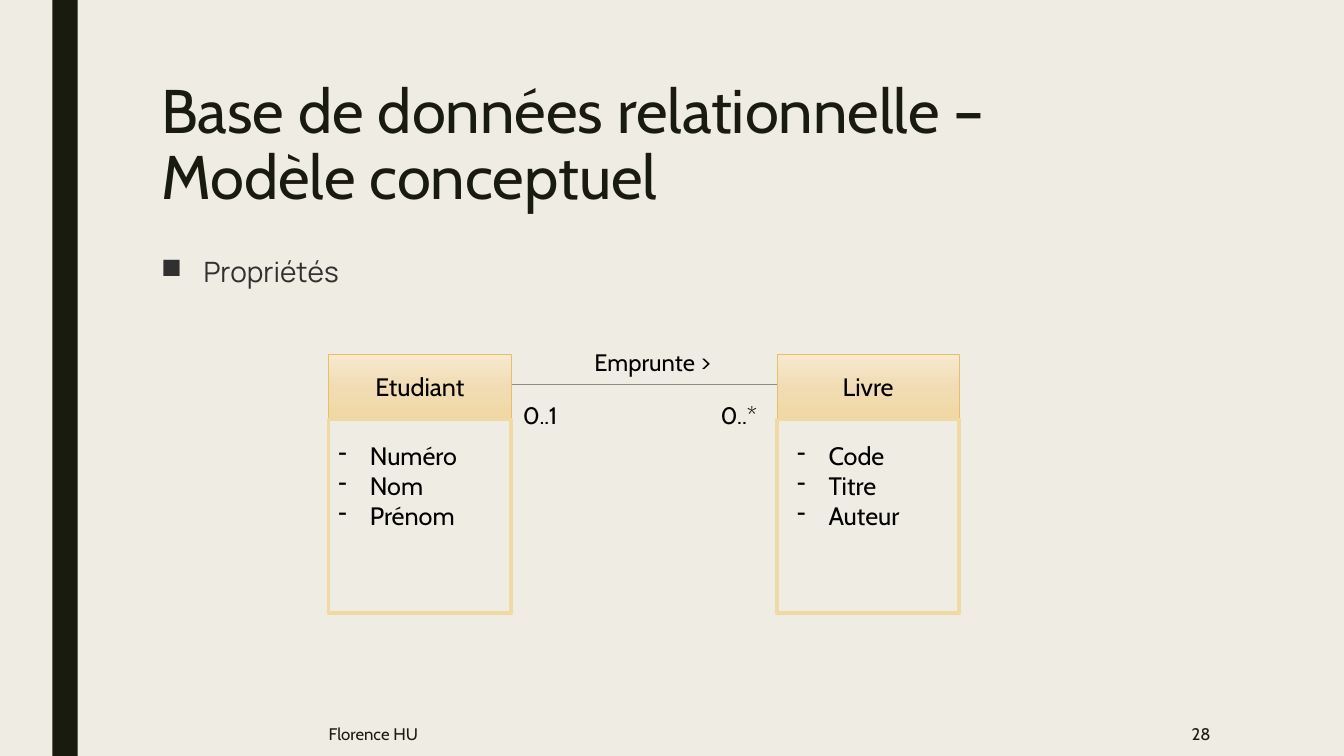
from dataclasses import dataclass

from lxml.etree import SubElement
from pptx import Presentation
from pptx.dml.color import RGBColor
from pptx.enum.shapes import MSO_CONNECTOR, MSO_SHAPE
from pptx.enum.text import MSO_ANCHOR, PP_ALIGN
from pptx.oxml import parse_xml
from pptx.oxml.ns import nsdecls, qn
from pptx.util import Cm, Pt


@dataclass(frozen=True)
class Theme:
    background: str = "EFEDE3"
    dark: str = "191B0E"
    body: str = "303030"
    black: str = "000000"
    link: str = "8C8D86"
    header_line: str = "E6C069"
    frame_line: str = "F0D9A5"
    header_stops: tuple = ((0, "F7E9D0"), (50, "F1DCB4"), (100, "F1D7A3"))
    heading_font: str = "Cabin"
    body_font: str = "Manrope"
    title_size: int = 44
    body_size: int = 20
    entity_size: int = 18
    label_size: int = 17
    footer_size: int = 12


THEME = Theme()
HEADER_TOP, HEADER_HEIGHT, FRAME_HEIGHT = 8.92, 1.65, 4.88
ENTITY_WIDTH = 4.6
STUDENT_LEFT, BOOK_LEFT = 8.28, 19.58


def apply_format(target, values):
    for name, value in values.items():
        setattr(target, name, value)


def style_font(font, size, color=THEME.black, name=THEME.heading_font):
    apply_format(font, {"name": name, "size": Pt(size)})
    font.color.rgb = RGBColor.from_string(color)


def add_bullet(para, symbol, indent):
    properties = para._p.get_or_add_pPr()
    properties.set("marL", str(Cm(indent)))
    properties.set("indent", str(-Cm(indent)))
    SubElement(properties, qn("a:buChar")).set("char", symbol)


def add_text(page, area, lines, size, color=THEME.black, name=THEME.heading_font,
             anchor=MSO_ANCHOR.TOP, bullet=None, indent=0, **para_format):
    box = page.shapes.add_textbox(*map(Cm, area))
    frame = box.text_frame
    apply_format(frame, {"word_wrap": True, "vertical_anchor": anchor})
    for index, line in enumerate(lines):
        para = frame.paragraphs[0] if index == 0 else frame.add_paragraph()
        para.text = line
        apply_format(para, para_format)
        if bullet:
            add_bullet(para, bullet, indent)
        for span in para.runs:
            style_font(span.font, size, color, name)
    return box


def add_rectangle(page, area, line_color=None, line_width=0.5):
    shape = page.shapes.add_shape(MSO_SHAPE.RECTANGLE, *map(Cm, area))
    shape.shadow.inherit = False
    shape.fill.background()
    if line_color:
        shape.line.color.rgb = RGBColor.from_string(line_color)
        shape.line.width = Pt(line_width)
    else:
        shape.line.fill.background()
    return shape


def fill_gradient(shape, stops):
    marks = "".join(
        f'<a:gs pos="{position * 1000}"><a:srgbClr val="{color}"/></a:gs>'
        for position, color in stops
    )
    gradient = parse_xml(
        f'<a:gradFill {nsdecls("a")} rotWithShape="1"><a:gsLst>{marks}</a:gsLst>'
        '<a:lin ang="5400000" scaled="0"/></a:gradFill>'
    )
    properties = shape._element.spPr
    properties.replace(properties.find(qn("a:noFill")), gradient)


def add_header(page, left, name):
    header = add_rectangle(page, (left, HEADER_TOP, ENTITY_WIDTH, HEADER_HEIGHT),
                           THEME.header_line)
    fill_gradient(header, THEME.header_stops)
    header.text_frame.vertical_anchor = MSO_ANCHOR.MIDDLE
    para = header.text_frame.paragraphs[0]
    para.text = name
    para.alignment = PP_ALIGN.CENTER
    style_font(para.runs[0].font, THEME.entity_size)


def add_entity(page, left, name, fields, list_left):
    add_header(page, left, name)
    frame_top = HEADER_TOP + HEADER_HEIGHT
    add_rectangle(page, (left, frame_top, ENTITY_WIDTH, FRAME_HEIGHT),
                  THEME.frame_line, 2.75)
    add_text(page, (list_left, frame_top + 0.4, 4.24, 2.57), fields,
             THEME.entity_size, bullet="-", indent=0.79)


def add_link(page, start, end, top):
    link = page.shapes.add_connector(MSO_CONNECTOR.STRAIGHT,
                                     Cm(start), Cm(top), Cm(end), Cm(top))
    link.line.color.rgb = RGBColor.from_string(THEME.link)
    link.line.width = Pt(0.5)
    SubElement(link._element.spPr, qn("a:effectLst"))


def add_relation(page):
    add_link(page, STUDENT_LEFT + ENTITY_WIDTH, BOOK_LEFT, 9.68)
    for left, cardinality in ((12.93, "0..1"), (17.91, "0..*")):
        add_text(page, (left, 9.98, 1.78, 0.99), [cardinality], THEME.label_size)
    label = add_text(page, (14.73, 8.61, 4.04, 1.02), ["Emprunte"], THEME.label_size)
    arrow = label.text_frame.paragraphs[0].add_run()
    arrow.text = " >"
    style_font(arrow.font, THEME.entity_size)


def main():
    deck = Presentation()
    apply_format(deck, {"slide_width": Cm(33.87), "slide_height": Cm(19.05)})
    page = deck.slides.add_slide(deck.slide_layouts[6])

    # Background and side band
    page.background.fill.solid()
    page.background.fill.fore_color.rgb = RGBColor.from_string(THEME.background)
    band = add_rectangle(page, (1.32, 0, 0.64, 19.05))
    band.fill.solid()
    band.fill.fore_color.rgb = RGBColor.from_string(THEME.dark)

    # Title and topic
    add_text(page, (3.81, 1.91, 26.67, 4.11),
             ["Base de données relationnelle – \vModèle conceptuel"],
             THEME.title_size, THEME.dark, line_spacing=0.89)
    add_text(page, (3.81, 6.35, 26.67, 9.96), ["Propriétés"], THEME.body_size,
             THEME.body, THEME.body_font, bullet="■", indent=1.07,
             line_spacing=0.94, space_after=Pt(2))

    # Conceptual model
    add_relation(page)
    add_entity(page, STUDENT_LEFT, "Etudiant", ["Numéro", "Nom", "Prénom"], 8.28)
    add_entity(page, BOOK_LEFT, "Livre", ["Code", "Titre", "Auteur"], 19.84)

    # Footer
    for left, width, words, side in (
        (8.03, 17.45, "Florence HU", PP_ALIGN.LEFT),
        (26.31, 4.45, "28", PP_ALIGN.RIGHT),
    ):
        add_text(page, (left, 17.93, width, 1.12), [words], THEME.footer_size,
                 THEME.dark, anchor=MSO_ANCHOR.MIDDLE, alignment=side)

    deck.save("out.pptx")


if __name__ == "__main__":
    main()
